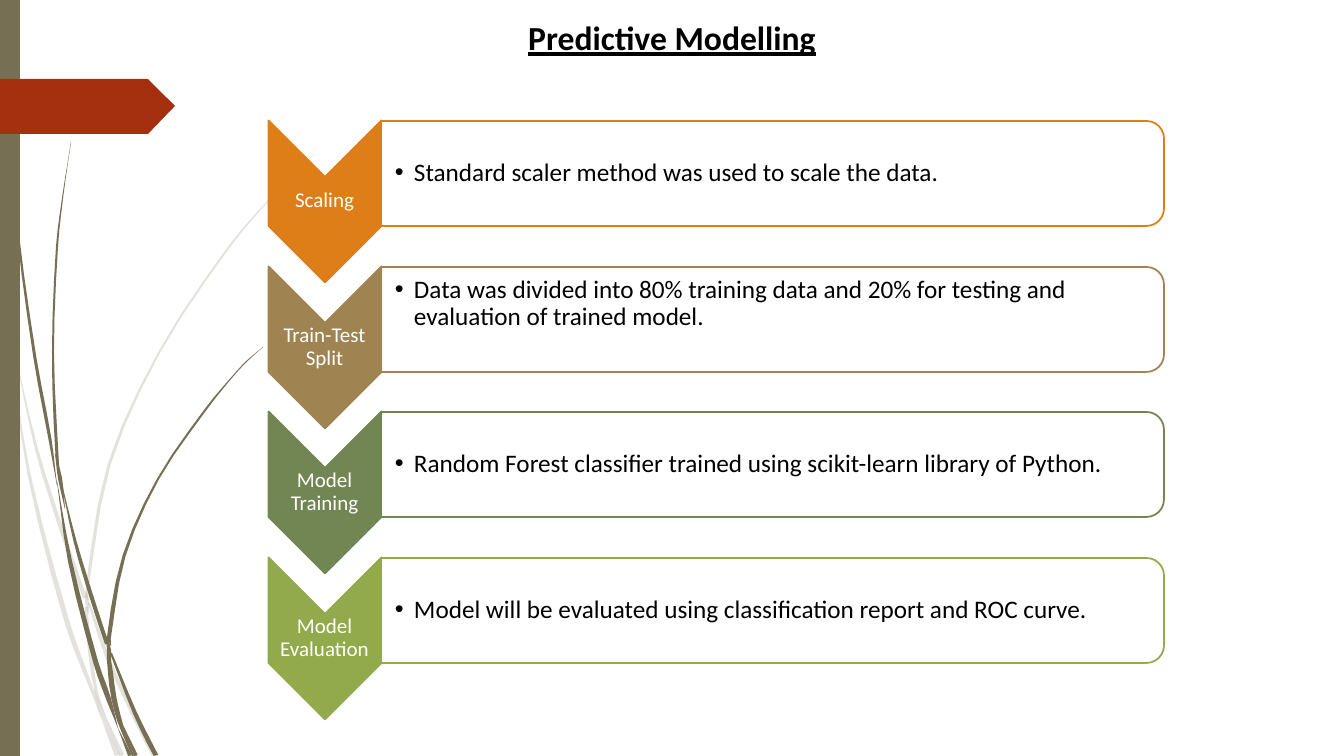
"""Build the Predictive Modelling slide with four chevron steps."""
from math import dist, hypot
from lxml import etree
from pptx import Presentation
from pptx.dml.color import RGBColor
from pptx.enum.shapes import MSO_SHAPE
from pptx.enum.text import MSO_ANCHOR, PP_ALIGN
from pptx.oxml.ns import qn
from pptx.util import Pt

RECT, CHEVRON = MSO_SHAPE.RECTANGLE, MSO_SHAPE.CHEVRON
CARD = MSO_SHAPE.ROUND_2_SAME_RECTANGLE
LEFT, CENTER = PP_ALIGN.LEFT, PP_ALIGN.CENTER
TOP, MIDDLE = MSO_ANCHOR.TOP, MSO_ANCHOR.MIDDLE
PX = 914400 / 100.8
FONT = "Calibri"
HUES = {"stem": "766F54", "tag": "A53010", "white": "FFFFFF", "black": "000000",
        "orange": "DE7E18", "tan": "9F8351", "green": "728653", "lime": "92AA4C"}
COLOR = {name: RGBColor.from_string(code) for name, code in HUES.items()}

deck = Presentation()
deck.slide_width, deck.slide_height = round(1344 * PX), round(756 * PX)
slide = deck.slides.add_slide(deck.slide_layouts[6])
shapes = slide.shapes


def write(text, box, size, color="black", align=CENTER, anchor=MIDDLE,
          pad=(1, 1, 1, 1), space=0.9, bold=False, bullet=False):
    """Add a text box; box is left, top, width, height in pixels."""
    frame = shapes.add_textbox(*[round(v * PX) for v in box]).text_frame
    frame.word_wrap, frame.vertical_anchor = True, anchor
    (frame.margin_left, frame.margin_top,
     frame.margin_right, frame.margin_bottom) = [round(v * PX) for v in pad]
    para = frame.paragraphs[0]
    para.alignment, para.line_spacing = align, space
    run = para.add_run()
    run.text = text
    run.font.name, run.font.size = FONT, Pt(size)
    run.font.bold = run.font.underline = bold
    run.font.color.rgb = COLOR[color]
    if bullet:
        props = para._p.get_or_add_pPr()
        props.set("marL", str(round(19 * PX)))
        props.set("indent", str(round(-19 * PX)))
        etree.SubElement(props, qn("a:buFont")).set("typeface", "Arial")
        etree.SubElement(props, qn("a:buChar")).set("char", "•")


def blade(spine):
    """Return the outline of a smooth stem given as x, y, width points."""
    ends = [spine[0], *spine, spine[-1]]
    count = 3 if len(spine) > 2 else 1
    track = []
    for a, b, c, d in zip(ends, ends[1:], ends[2:], ends[3:]):
        span = dist(b, c)
        lead, tail = span / (dist(a, b) + span), span / (span + dist(c, d))
        for step in range(count):
            t = step / count
            track.append([q + t * t * (3 - 2 * t) * (r - q)
                          + t * (1 - t) ** 2 * (r - p) * lead
                          - t * t * (1 - t) * (s - q) * tail
                          for p, q, r, s in zip(a, b, c, d)])
    track.append(spine[-1])
    near, far = [], []
    for i, (x, y, width) in enumerate(track):
        back, ahead = track[max(i - 1, 0)], track[min(i + 1, len(track) - 1)]
        dx, dy = ahead[0] - back[0], ahead[1] - back[1]
        half = max(width, 0.3) / 2 / hypot(dx, dy)
        near.append((x + dy * half, min(y - dx * half, 756)))
        far.append((x - dy * half, min(y + dx * half, 756)))
    return near + far[::-1]


pale = [
    [(0, 293, 3), (6, 320, 2), (11, 353, 0)],
    [(14, 348, 0), (36, 447, 3), (60, 525, 4), (85, 598, 4)],
    [(89, 603, 2), (107, 656, 4), (126, 699, 4), (154, 756, 5)],
    [(106, 717, 0), (122, 756, 5)],
    [(11, 353, 0), (29, 474, 3), (68, 625, 5), (94, 695, 3), (102, 720, 0)],
    [(86, 607, 3), (90, 651, 4), (96, 690, 3), (106, 717, 0)],
    [(314, 154, 0), (270, 199, 1), (229, 247, 2), (160, 351, 2),
     (109, 465, 3), (87, 589, 3), (88, 600, 1)],
    [(102, 720, 0), (117, 756, 5)],
    [(86, 591, 0), (87, 602, 4), (89, 615, 0)],
    [(94, 689, 0), (104, 718, 4), (120, 756, 0)],
]
dark = [
    [(4, 0, 1), (5, 48, 1), (8, 110, 1), (18, 234, 2), (35, 358, 3),
     (50, 439, 3), (57, 485, 0)],
    [(60, 476, 0), (75, 541, 3), (91, 595, 4), (107, 644, 4)],
    [(111, 653, 2), (135, 713, 4), (156, 756, 5)],
    [(57, 481, 0), (70, 561, 4), (96, 663, 5), (108, 697, 5), (118, 728, 0)],
    [(71, 142, 0), (63, 195, 1), (57, 247, 2), (53, 352, 2), (57, 455, 3),
     (60, 476, 0)],
    [(123, 725, 0), (136, 756, 4)],
    [(55, 453, 0), (60, 478, 4), (65, 509, 0)],
    [(263, 347, 0), (247, 361, 1), (233, 376, 1), (206, 409, 2),
     (158, 479, 2), (124, 556, 3), (109, 637, 4), (111, 646, 0)],
    [(118, 728, 0), (130, 756, 4)],
    [(107, 650, 0), (109, 660, 4), (114, 698, 5), (123, 725, 0)],
    [(107, 636, 0), (109, 650, 4), (111, 661, 0)],
    [(111, 697, 0), (119, 720, 4), (133, 756, 2)],
]
flag = [(0, 79), (148, 79), (175, 106), (148, 134), (0, 134)]

steps = [
    ("Scaling", "orange", "Standard scaler method was used to scale the data.", 1),
    ("Train-Test Split", "tan", "Data was divided into 80% training data and 20% "
     "for testing and evaluation of trained model.", 33),
    ("Model Training", "green", "Random Forest classifier trained using "
     "scikit-learn library of Python.", 1),
    ("Model Evaluation", "lime", "Model will be evaluated using classification "
     "report and ROC curve.", 1),
]
tops = [(243 + 291 * i) // 2 for i in range(len(steps))]

parts = [(None, blade(spine), 0, "stem", None, 20) for spine in pale]
parts += [(None, blade(spine), 0, "stem", None, 100) for spine in dark]
parts += [(RECT, (0, 0, 20, 756), 0, "stem", None, 100),
          (None, flag, 0, "tag", None, 100)]
for top, (label, hue, note, foot) in zip(tops, steps):
    parts += [(CHEVRON, (244, top + 24, 162, 113), 90, hue, hue, 100),
              (CARD, (720, top - 339, 105, 783), 90, "white", hue, 90)]
for kind, area, turn, fill, edge, alpha in parts:
    if kind:
        part = shapes.add_shape(kind, *[round(v * PX) for v in area])
    else:
        dots = [(round(x * PX), round(y * PX)) for x, y in area]
        path = shapes.build_freeform(*dots[0], scale=1.0)
        path.add_line_segments(dots[1:], close=True)
        part = path.convert_to_shape()
    part.shadow.inherit = False
    part.rotation = turn
    part.fill.solid()
    part.fill.fore_color.rgb = COLOR[fill]
    if alpha < 100:
        tint = part._element.spPr.find(qn("a:solidFill"))[0]
        etree.SubElement(tint, qn("a:alpha")).set("val", str(alpha * 1000))
    if edge:
        part.line.color.rgb = COLOR[edge]
        part.line.width = Pt(1.25)
    else:
        part.line.fill.background()

write("Predictive Modelling", (370, 12, 604, 50), 24, anchor=TOP,
      pad=(10, 5, 10, 5), space=1.0, bold=True)
for top, (label, hue, note, foot) in zip(tops, steps):
    write(label, (268, top + 56, 113, 48), 15, color="white")
    write(note, (381, top + 5, 778, 95), 18, align=LEFT,
          pad=(14, 1, 1, foot), bullet=True)

deck.save("out.pptx")
